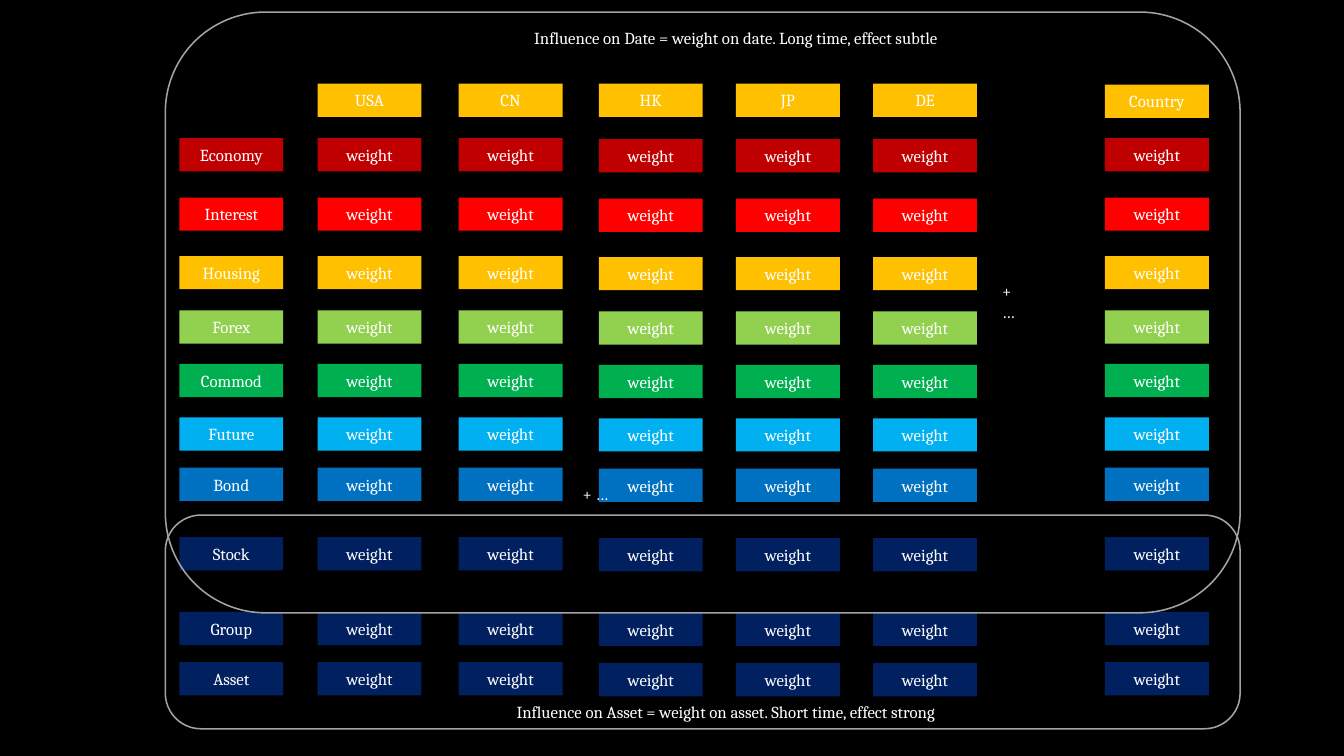
from dataclasses import dataclass

from pptx import Presentation
from pptx.dml.color import RGBColor
from pptx.enum.shapes import MSO_SHAPE
from pptx.enum.text import MSO_ANCHOR, MSO_AUTO_SIZE, PP_ALIGN
from pptx.util import Inches, Pt


@dataclass(frozen=True)
class Theme:
    """Colours, font and sizes used on the slide."""
    background: str = "000000"
    text: str = "FFFFFF"
    frame: str = "A3A3A3"
    header: str = "FFC000"
    font: str = "Cambria"
    size: float = 12
    frame_width: float = 1.1


THEME = Theme()
CELL_W, CELL_H = 1.03, 0.33
LABEL_LEFT = 1.78
HEADER_TOP = 0.83

# Country, left edge, drop of its header, drop of its weights
COLUMNS = [
    ("USA", 3.15, 0, 0),
    ("CN", 4.55, 0, 0),
    ("HK", 5.94, 0, 0.01),
    ("JP", 7.3, 0, 0.01),
    ("DE", 8.66, 0, 0.01),
    ("Country", 10.96, 0.01, 0),
]

# Factor, top edge, colour
ROWS = [
    ("Economy", 1.37, "C00000"),
    ("Interest", 1.96, "FF0000"),
    ("Housing", 2.54, "FFC000"),
    ("Forex", 3.08, "92D050"),
    ("Commod", 3.61, "00B050"),
    ("Future", 4.14, "00B0F0"),
    ("Bond", 4.64, "0070C0"),
    ("Stock", 5.33, "002060"),
    ("Group", 6.07, "002060"),
    ("Asset", 6.57, "002060"),
]


def write(tf, text, align):
    """Fill a text frame and format every run."""
    tf.text = text
    for p in tf.paragraphs:
        p.alignment = align
        for r in p.runs:
            r.font.name = THEME.font
            r.font.size = Pt(THEME.size)
            r.font.color.rgb = RGBColor.from_string(THEME.text)


def add_cell(s, text, left, top, color):
    """Add one coloured box of the grid."""
    sp = s.shapes.add_shape(MSO_SHAPE.RECTANGLE, Inches(left), Inches(top),
                            Inches(CELL_W), Inches(CELL_H))
    sp.shadow.inherit = False
    sp.fill.solid()
    sp.fill.fore_color.rgb = RGBColor.from_string(color)
    sp.line.fill.background()
    sp.text_frame.vertical_anchor = MSO_ANCHOR.MIDDLE
    write(sp.text_frame, text, PP_ALIGN.CENTER)


def add_text(s, text, left, top, width, height, align=PP_ALIGN.LEFT):
    """Add a wrapping text box that grows with its text."""
    tf = s.shapes.add_textbox(Inches(left), Inches(top),
                              Inches(width), Inches(height)).text_frame
    tf.word_wrap = True
    tf.auto_size = MSO_AUTO_SIZE.SHAPE_TO_FIT_TEXT
    write(tf, text, align)


def add_frame(s, top, height):
    """Add a rounded outline around a group of rows."""
    sp = s.shapes.add_shape(MSO_SHAPE.ROUNDED_RECTANGLE, Inches(1.64),
                            Inches(top), Inches(10.66), Inches(height))
    sp.shadow.inherit = False
    sp.fill.background()
    sp.line.color.rgb = RGBColor.from_string(THEME.frame)
    sp.line.width = Pt(THEME.frame_width)


def add_grid(s):
    """Add the country headers, factor labels and weights."""
    for country, left, drop, _ in COLUMNS:
        add_cell(s, country, left, HEADER_TOP + drop, THEME.header)
    for factor, top, color in ROWS:
        add_cell(s, factor, LABEL_LEFT, top, color)
        for _, left, _, drop in COLUMNS:
            add_cell(s, "weight", left, top + drop, color)


def main():
    """Build the slide and save it."""
    prs = Presentation()
    prs.slide_width, prs.slide_height = Inches(13.33), Inches(7.5)
    s = prs.slides.add_slide(prs.slide_layouts[6])
    s.background.fill.solid()
    s.background.fill.fore_color.rgb = RGBColor.from_string(THEME.background)

    add_grid(s)
    add_text(s, "+\n…", 9.84, 2.74, 0.67, 0.5)
    add_text(s, "+ …", 5.68, 4.75, 1.12, 0.3)
    add_frame(s, 0.12, 5.96)
    add_text(s, "Influence on Date = weight on date. Long time, effect subtle",
             3.33, 0.23, 7.94, 0.3, PP_ALIGN.CENTER)
    add_frame(s, 5.11, 2.12)
    add_text(s, "Influence on Asset = weight on asset. Short time, effect strong",
             3.23, 6.91, 7.94, 0.3, PP_ALIGN.CENTER)
    prs.save("out.pptx")


main()
